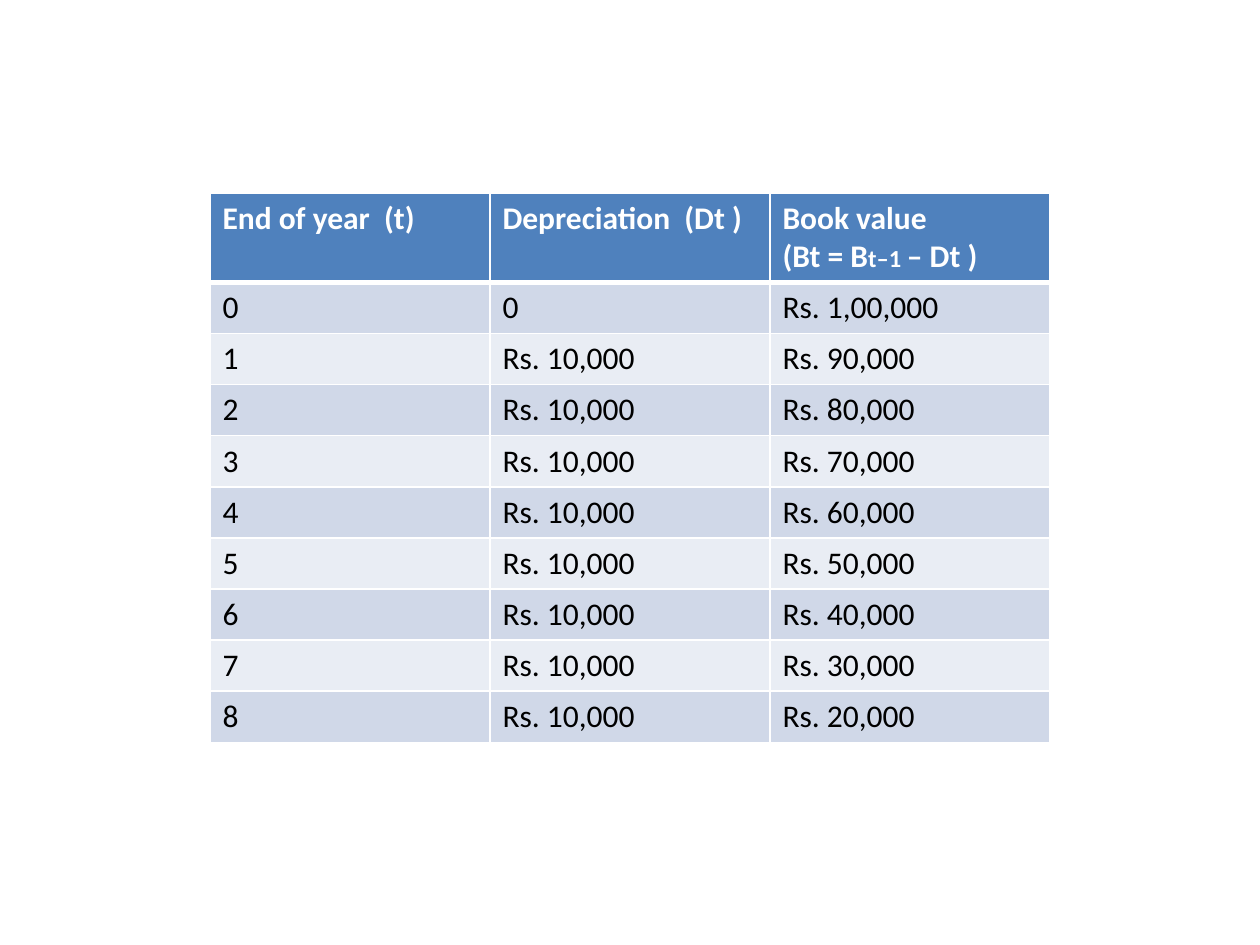
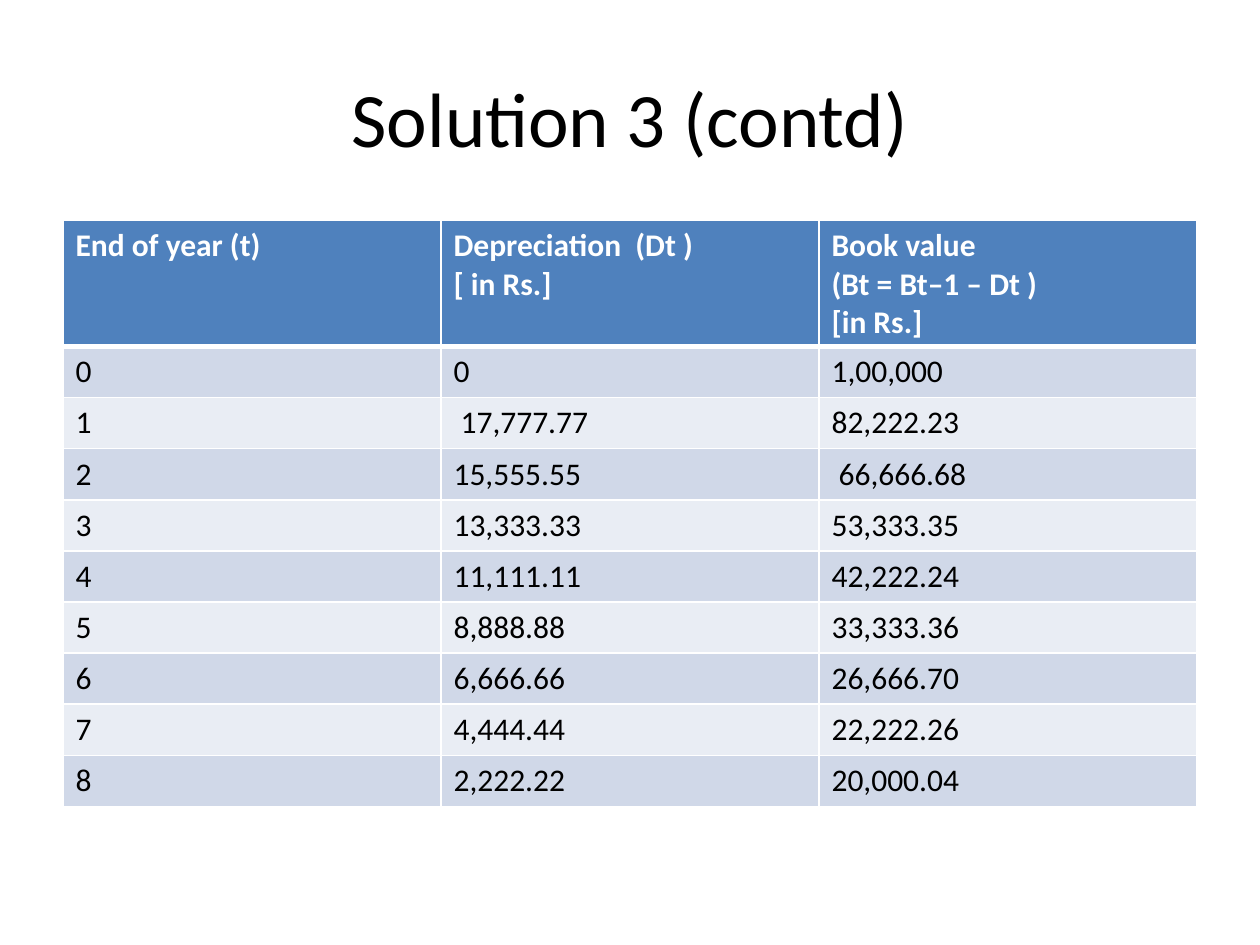
from dataclasses import dataclass
from typing import Any

from lxml.etree import SubElement
from pptx import Presentation
from pptx.dml.color import RGBColor as Rgb
from pptx.enum.text import MSO_ANCHOR as Anchor, PP_ALIGN as Align
from pptx.oxml.ns import qn
from pptx.util import Pt


@dataclass(frozen=True)
class Theme:
    """Colours, font and sizes shared by the slides."""
    font: str = "Calibri"
    ink: str = "000000"
    paper: str = "FFFFFF"
    header: str = "4F81BD"
    bands: tuple[str, str] = ("D0D8E8", "E9EDF4")
    title_size: float = 44
    body_size: float = 18
    subscript_size: float = 14
    thin_rule: float = 1
    thick_rule: float = 3
    row_height: float = 29.2


@dataclass(frozen=True)
class Piece:
    """A stretch of text in one size."""
    text: str
    size: float


Line = tuple[Piece, ...]


@dataclass(frozen=True)
class Schedule:
    """A depreciation table: place in points, header lines and yearly rows."""
    left: float
    top: float
    width: float
    height: float
    headings: tuple[tuple[Line, ...], ...]
    years: list[tuple[str, str, str]]


THEME = Theme()


def apply_format(target: Any, values: dict[str, Any]) -> None:
    """Set every named attribute on the target."""
    for name, value in values.items():
        setattr(target, name, value)


def plain(text: str, size: float = THEME.body_size) -> Line:
    """Make a line of one piece."""
    return (Piece(text, size),)


def write_lines(frame: Any, lines: tuple[Line, ...], color: str,
                bold: bool = False, align: Align = Align.LEFT) -> None:
    """Write one paragraph per line."""
    for index, line in enumerate(lines):
        paragraph = frame.paragraphs[0] if index == 0 else frame.add_paragraph()
        paragraph.alignment = align
        for piece in line:
            run = paragraph.add_run()
            run.text = piece.text
            apply_format(run.font, {"name": THEME.font, "size": Pt(piece.size), "bold": bold})
            run.font.color.rgb = Rgb.from_string(color)


def rule_cell(cell: Any, row: int) -> None:
    """Draw the cell's borders, thick between the header and the body."""
    thick_side = {0: "lnB", 1: "lnT"}.get(row)
    properties = cell._tc.get_or_add_tcPr()
    for side in ("lnL", "lnR", "lnT", "lnB"):
        weight = THEME.thick_rule if side == thick_side else THEME.thin_rule
        border = SubElement(properties, qn(f"a:{side}"), w=str(Pt(weight)))
        SubElement(SubElement(border, qn("a:solidFill")), qn("a:srgbClr"), val=THEME.paper)


def fill_cell(cell: Any, row: int, lines: tuple[Line, ...]) -> None:
    """Style and write a header or body cell."""
    is_header = row == 0
    rule_cell(cell, row)
    cell.fill.solid()
    background = THEME.header if is_header else THEME.bands[(row - 1) % 2]
    cell.fill.fore_color.rgb = Rgb.from_string(background)
    write_lines(cell.text_frame, lines, THEME.paper if is_header else THEME.ink, is_header)


def draw_schedule(slide: Any, schedule: Schedule) -> None:
    """Add a schedule; its header row grows to fit its lines."""
    body = [tuple((plain(value),) for value in year) for year in schedule.years]
    rows = [schedule.headings, *body]
    frame = slide.shapes.add_table(
        len(rows), len(schedule.headings),
        *map(Pt, (schedule.left, schedule.top, schedule.width, schedule.height)))
    for row, entries in enumerate(rows):
        frame.table.rows[row].height = Pt(THEME.row_height)
        for column, lines in enumerate(entries):
            fill_cell(frame.table.cell(row, column), row, lines)
    frame.height = Pt(schedule.height)


def draw_title(slide: Any, title: str) -> None:
    """Add the centred slide title."""
    frame = slide.shapes.add_textbox(*map(Pt, (36, 21.6, 648, 90))).text_frame
    apply_format(frame, {"word_wrap": True, "vertical_anchor": Anchor.MIDDLE})
    write_lines(frame, (plain(title, THEME.title_size),), THEME.ink, align=Align.CENTER)


STRAIGHT_LINE = Schedule(
    120, 110.25, 480, 313.2,
    headings=(
        (plain("End of year  (t)"),),
        (plain("Depreciation  (Dt )"),),
        (plain("Book value"),
         (Piece("(Bt = B", THEME.body_size),
          Piece("t–1 ", THEME.subscript_size),
          Piece("– Dt )", THEME.body_size))),
    ),
    years=[("0", "0", "Rs. 1,00,000")]
    + [(str(year), "Rs. 10,000", f"Rs. {100 - 10 * year},000") for year in range(1, 9)],
)

DECLINING = Schedule(
    36, 126, 648, 334.8,
    headings=(
        (plain("End of year (t)"),),
        (plain("Depreciation  (Dt )"), plain("[ in Rs.]")),
        (plain("Book value"), plain("(Bt = Bt–1 – Dt )"), plain("[in Rs.]")),
    ),
    years=[
        ("0", "0", "1,00,000"),
        ("1", " 17,777.77", "82,222.23"),
        ("2", "15,555.55", " 66,666.68"),
        ("3", "13,333.33", "53,333.35"),
        ("4", "11,111.11", "42,222.24"),
        ("5", "8,888.88", "33,333.36"),
        ("6", "6,666.66", "26,666.70"),
        ("7", "4,444.44", "22,222.26"),
        ("8", "2,222.22", "20,000.04"),
    ],
)


def main() -> None:
    """Build and save the presentation."""
    deck = Presentation()
    apply_format(deck, {"slide_width": Pt(720), "slide_height": Pt(540)})
    blank = deck.slide_layouts[6]
    draw_schedule(deck.slides.add_slide(blank), STRAIGHT_LINE)
    solution = deck.slides.add_slide(blank)
    draw_title(solution, "Solution 3 (contd)")
    draw_schedule(solution, DECLINING)
    deck.save("out.pptx")


main()
